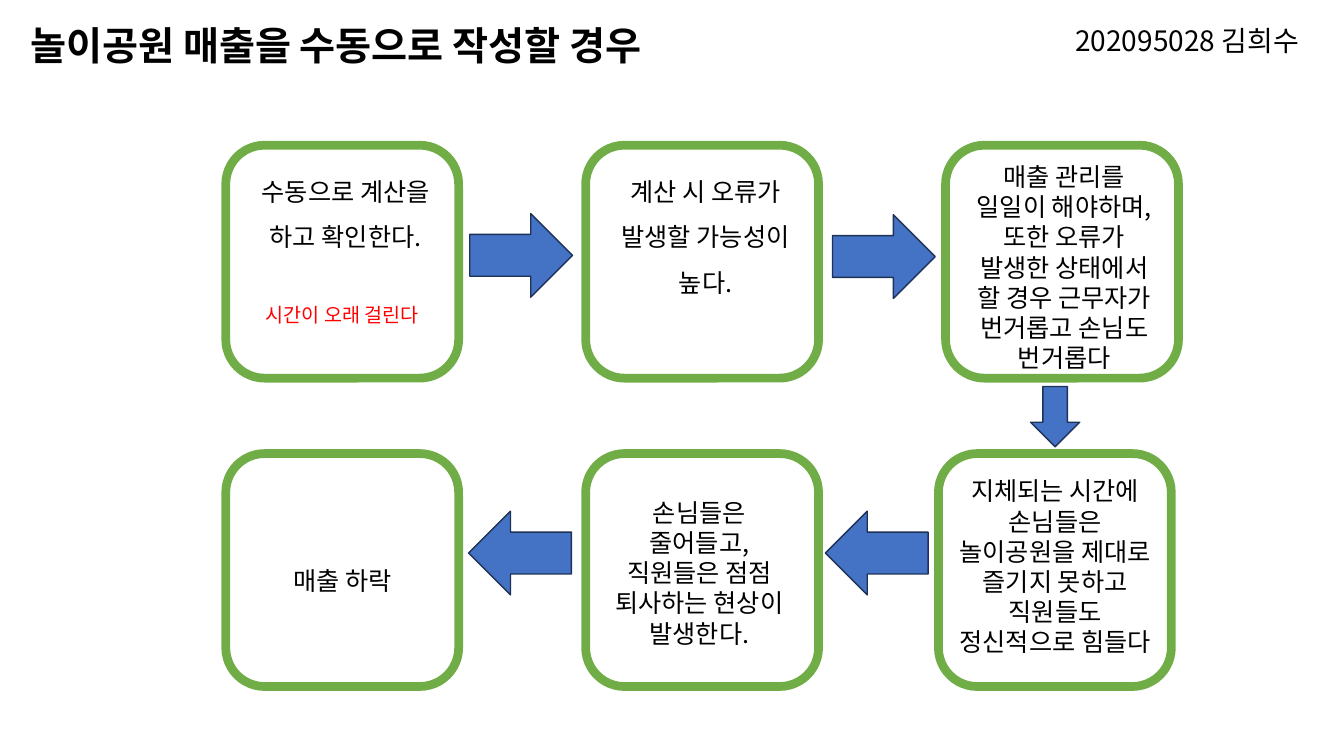
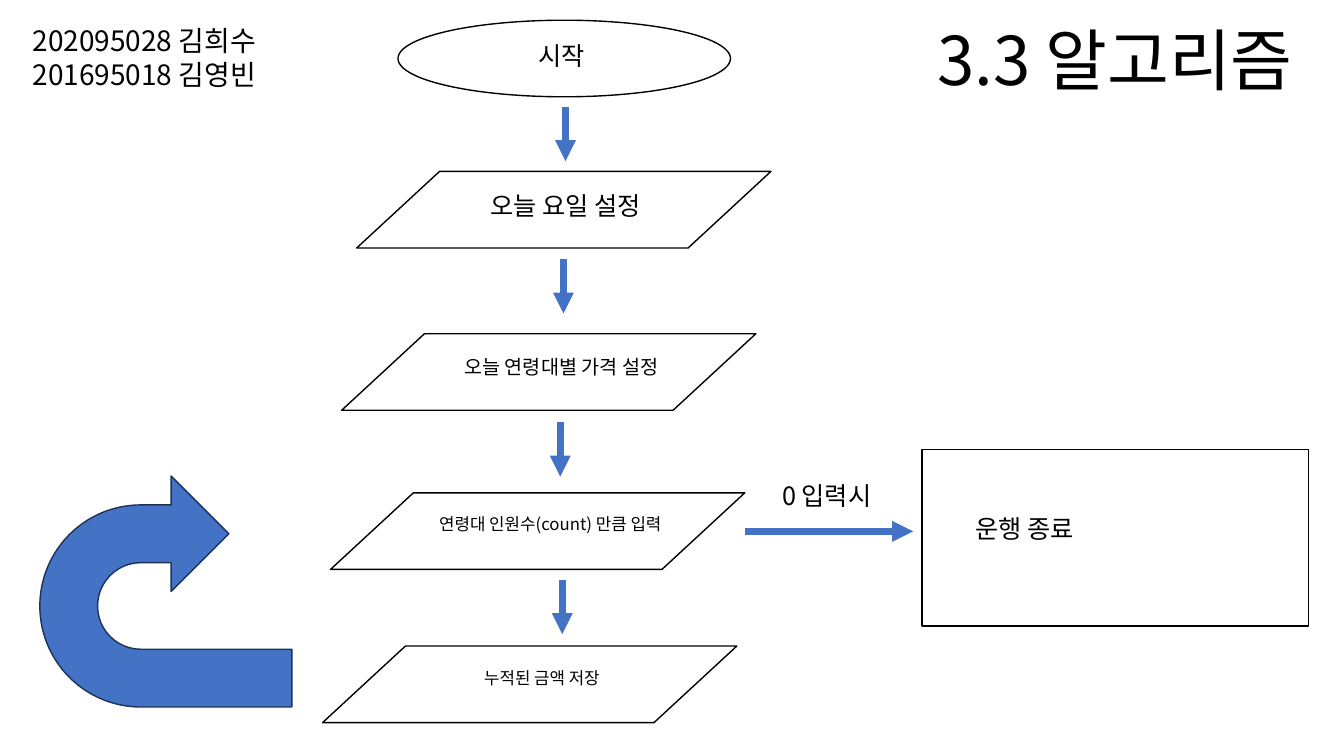
"""Build two slides: the manual sales problem and the sales algorithm flowchart."""

import dataclasses

import pptx
import pptx.dml.color
import pptx.enum.shapes
import pptx.enum.text
import pptx.oxml.ns
import pptx.shapes.autoshape
import pptx.slide
import pptx.util
from lxml import etree

Cm = pptx.util.Cm
Pt = pptx.util.Pt
RGBColor = pptx.dml.color.RGBColor
Shape = pptx.enum.shapes.MSO_SHAPE
Align = pptx.enum.text.PP_ALIGN
qn = pptx.oxml.ns.qn

FONT = "Noto Sans CJK KR"
BLACK = RGBColor(0x00, 0x00, 0x00)
WHITE = RGBColor(0xFF, 0xFF, 0xFF)
RED = RGBColor(0xFF, 0x00, 0x00)
GREEN = RGBColor(0x70, 0xAD, 0x47)
BLUE = RGBColor(0x44, 0x72, 0xC4)
NAVY = RGBColor(0x1E, 0x32, 0x56)


@dataclasses.dataclass(frozen=True)
class Style:
    """Fill, line colour and line width in points."""

    fill: RGBColor
    line: RGBColor
    width: float = 1


@dataclasses.dataclass(frozen=True)
class Area:
    """Position and size in centimetres."""

    left: float
    top: float
    width: float
    height: float


@dataclasses.dataclass(frozen=True)
class Label:
    """Text box with one paragraph per line of text."""

    area: Area
    text: str
    size: float = 18
    align: Align = Align.CENTER
    color: RGBColor = BLACK
    bold: bool = False
    spacing: float = 1.0


@dataclasses.dataclass(frozen=True)
class Step:
    """Input or output step of the flowchart and its text."""

    left: float
    top: float
    label: Label


CARD = Style(WHITE, GREEN, 6.25)
BLOCK_ARROW = Style(BLUE, NAVY)
OUTLINE = Style(WHITE, BLACK)

CARD_SIDE = 5.87
CARD_ROWS = (3.66, 11.43)
CARD_COLUMNS = ((5.69, 14.76, 23.83), (5.69, 14.76, 23.65))
ARROW_WIDTH, ARROW_HEIGHT = 2.59, 2.11
CARD_ARROWS = ((11.84, 5.38, 0), (20.98, 5.41, 0), (20.8, 12.88, 180), (11.81, 12.88, 180))

PROBLEM_LABELS = (
    Label(Area(0.51, 0.41, 19.43, 1.45), "놀이공원 매출을 수동으로 작성할 경우", 28, Align.LEFT, bold=True),
    Label(Area(24.38, 0.46, 8.61, 1.88), "202095028 김희수", 20, Align.RIGHT),
    Label(Area(6.02, 3.94, 5.38, 2.41), "수동으로 계산을 하고 확인한다.", spacing=1.5),
    Label(Area(6.15, 7.52, 4.95, 0.86), "시간이 오래 걸린다", 14, color=RED),
    Label(Area(15.09, 3.94, 5.38, 3.58), "계산 시 오류가 발생할 가능성이 높다.", spacing=1.5),
    Label(
        Area(24.13, 3.94, 5.38, 5.64),
        "매출 관리를 일일이 해야하며, 또한 오류가 발생한 상태에서 할 경우 근무자가 번거롭고 손님도 번거롭다",
    ),
    Label(
        Area(23.9, 11.86, 5.38, 4.88),
        "지체되는 시간에 손님들은 놀이공원을 제대로 즐기지 못하고 직원들도 정신적으로 힘들다",
    ),
    Label(Area(15.06, 12.4, 5.13, 4.11), "손님들은 줄어들고, 직원들은 점점 퇴사하는 현상이 발생한다."),
    Label(Area(5.94, 13.74, 5.38, 1.27), "매출 하락", spacing=1.5),
)

STEP_WIDTH, STEP_HEIGHT = 10.44, 1.93
STEPS = (
    Step(8.99, 4.32, Label(Area(11.18, 4.67, 6.15, 1.02), "오늘 요일 설정")),
    Step(8.61, 8.41, Label(Area(10.85, 8.81, 6.6, 0.86), "오늘 연령대별 가격 설정", 14)),
    Step(8.33, 12.42, Label(Area(10.57, 12.83, 6.6, 0.76), "연령대 인원수(count) 만큼 입력", 12)),
    Step(8.13, 16.28, Label(Area(10.36, 16.69, 6.6, 0.76), "누적된 금액 저장", 12)),
)
DOWN_LENGTH = 1.37
DOWN_STARTS = ((14.25, 2.69), (14.2, 6.53), (14.12, 10.64), (14.17, 14.61))

ALGORITHM_LABELS = (
    Label(Area(0, 0.48, 6.71, 2.74), "202095028 김희수\n201695018 김영빈", 20, Align.RIGHT),
    Label(Area(23.37, 0.33, 10.41, 2.31), "3.3 알고리즘", 48, Align.LEFT),
    Label(Area(12.45, 0.89, 3.4, 1.02), "시작"),
    Label(Area(19.46, 11.99, 3.07, 1.02), "0 입력시", align=Align.LEFT),
    Label(Area(24.33, 12.8, 7.72, 1.02), "운행 종료", align=Align.LEFT),
)


def lengths(area: Area) -> tuple[pptx.util.Length, ...]:
    """Return the area as slide lengths."""
    return tuple(Cm(value) for value in dataclasses.astuple(area))


def draw_shape(
    page: pptx.slide.Slide, kind: Shape, area: Area, style: Style, rotation: float = 0
) -> pptx.shapes.autoshape.Shape:
    """Draw a preset shape in the given style."""
    shape = page.shapes.add_shape(kind, *lengths(area))
    shape.shadow.inherit = False
    shape.fill.solid()
    shape.fill.fore_color.rgb = style.fill
    shape.line.color.rgb = style.line
    shape.line.width = Pt(style.width)
    shape.rotation = rotation
    return shape


def draw_label(page: pptx.slide.Slide, label: Label) -> None:
    """Draw a wrapping text box."""
    box = page.shapes.add_textbox(*lengths(label.area))
    frame = box.text_frame
    frame.word_wrap = True
    frame.auto_size = pptx.enum.text.MSO_AUTO_SIZE.SHAPE_TO_FIT_TEXT
    frame.text = label.text
    for para in frame.paragraphs:
        para.alignment = label.align
        para.line_spacing = label.spacing
        para.font.name = FONT
        para.font.size = Pt(label.size)
        para.font.bold = label.bold
        para.font.color.rgb = label.color
    for latin in list(box.element.iter(qn("a:latin"))):
        east_asian = etree.Element(qn("a:ea"), typeface=FONT)
        latin.addnext(east_asian)


def draw_flow_line(
    page: pptx.slide.Slide, left: float, top: float, across: float = 0, down: float = 0
) -> None:
    """Draw a straight line with an arrowhead at its end."""
    line = page.shapes.add_connector(
        pptx.enum.shapes.MSO_CONNECTOR.STRAIGHT,
        Cm(left), Cm(top), Cm(left + across), Cm(top + down),
    )
    line.line.color.rgb = BLUE
    line.line.width = Pt(5)
    properties = line.element.spPr
    outline = properties.find(qn("a:ln"))
    etree.SubElement(outline, qn("a:tailEnd"), type="triangle")
    etree.SubElement(properties, qn("a:effectLst"))


def build_problem(page: pptx.slide.Slide) -> None:
    """Draw the chain of problems caused by manual work."""
    for top, columns in zip(CARD_ROWS, CARD_COLUMNS):
        for left in columns:
            draw_shape(page, Shape.ROUNDED_RECTANGLE, Area(left, top, CARD_SIDE, CARD_SIDE), CARD)
    for left, top, rotation in CARD_ARROWS:
        area = Area(left, top, ARROW_WIDTH, ARROW_HEIGHT)
        draw_shape(page, Shape.RIGHT_ARROW, area, BLOCK_ARROW, rotation)
    draw_shape(page, Shape.RIGHT_ARROW, Area(25.83, 9.88, 1.52, 1.24), BLOCK_ARROW, 90)
    for label in PROBLEM_LABELS:
        draw_label(page, label)


def build_algorithm(page: pptx.slide.Slide) -> None:
    """Draw the flowchart of the sales algorithm."""
    draw_shape(page, Shape.OVAL, Area(10.03, 0.51, 8.38, 1.93), OUTLINE)
    draw_shape(page, Shape.RECTANGLE, Area(23.24, 11.33, 9.73, 4.45), OUTLINE)
    draw_shape(page, Shape.U_TURN_ARROW, Area(1.27, 11.73, 5.82, 6.35), BLOCK_ARROW, 270)
    for step in STEPS:
        area = Area(step.left, step.top, STEP_WIDTH, STEP_HEIGHT)
        draw_shape(page, Shape.FLOWCHART_DATA, area, OUTLINE)
        draw_label(page, step.label)
    for left, top in DOWN_STARTS:
        draw_flow_line(page, left, top, down=DOWN_LENGTH)
    draw_flow_line(page, 18.77, 13.39, across=4.24)
    for label in ALGORITHM_LABELS:
        draw_label(page, label)


def main() -> None:
    """Build and save the deck."""
    deck = pptx.Presentation()
    deck.slide_width = Cm(33.87)
    deck.slide_height = Cm(19.05)
    blank = deck.slide_layouts[6]
    for build in (build_problem, build_algorithm):
        build(deck.slides.add_slide(blank))
    deck.save("out.pptx")


if __name__ == "__main__":
    main()
